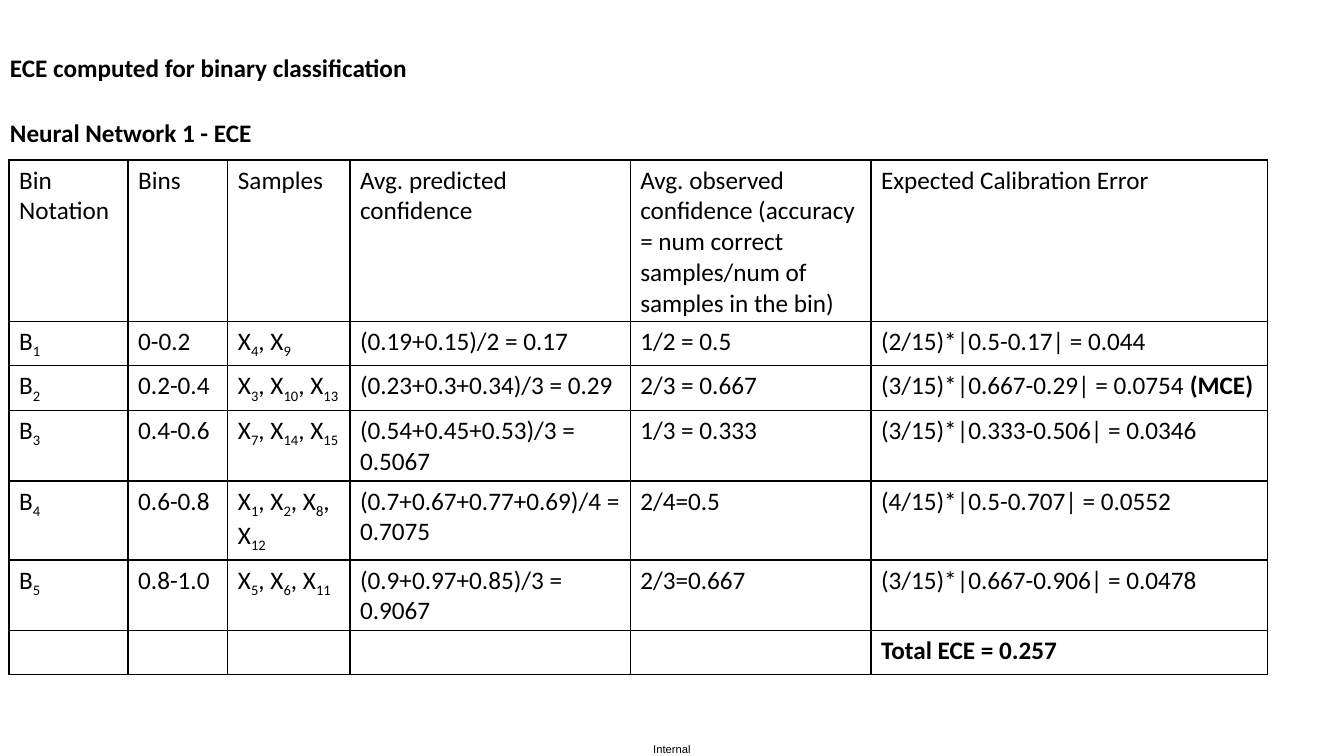
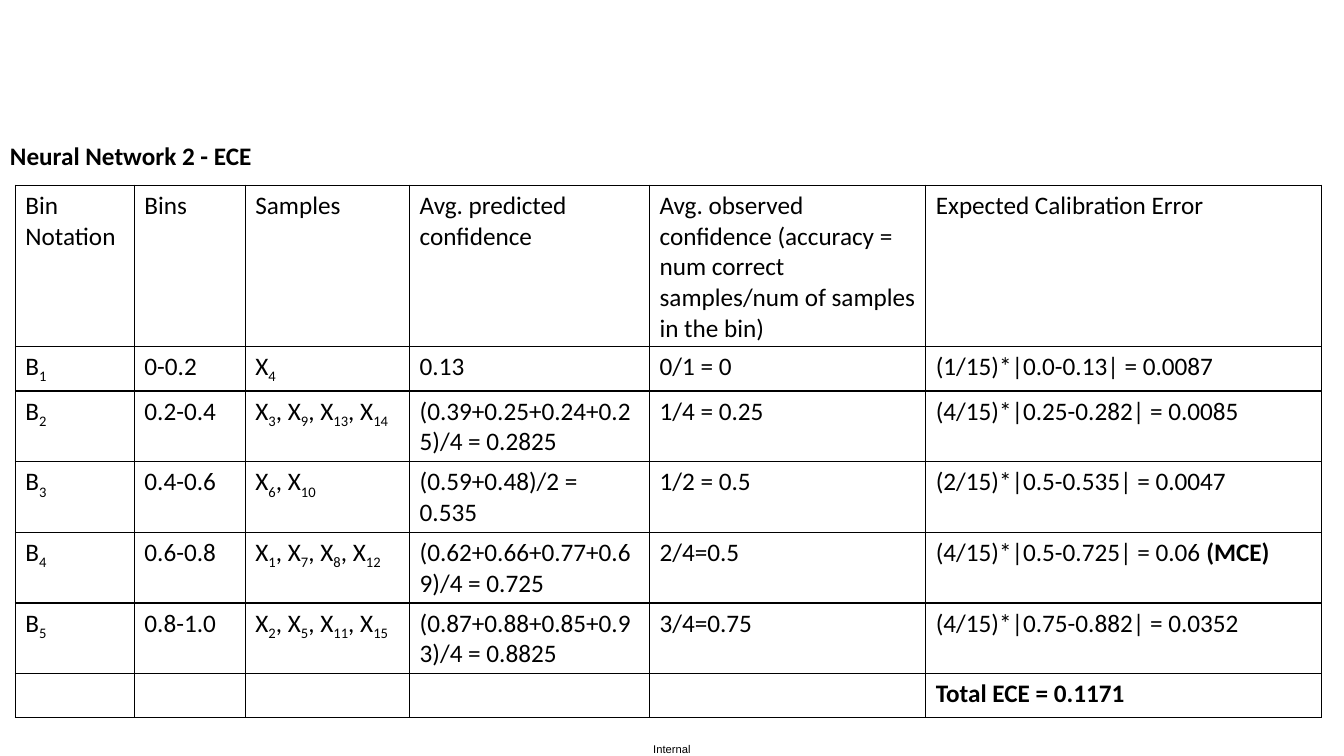
from dataclasses import dataclass

from lxml import etree
from pptx import Presentation
from pptx.dml.color import RGBColor
from pptx.enum.text import MSO_AUTO_SIZE
from pptx.oxml.ns import qn
from pptx.util import Pt

GROW = MSO_AUTO_SIZE.SHAPE_TO_FIT_TEXT
BLANK_LAYOUT = 6
BORDER_TAGS = ("a:lnL", "a:lnR", "a:lnT", "a:lnB")

HEADER = (
    "Bin Notation",
    "Bins",
    "Samples",
    "Avg. predicted confidence",
    "Avg. observed confidence (accuracy = num correct samples/num of samples in the bin)",
    "Expected Calibration Error",
)
BINS = ("0-0.2", "0.2-0.4", "0.4-0.6", "0.6-0.8", "0.8-1.0")
HEADER_HEIGHT, ONE_LINE, TWO_LINES, TWO_SUBSCRIPT_LINES = 115, 31.5, 50.5, 56.5


@dataclass(frozen=True)
class Theme:
    ink: str = "000000"
    body_font: str = "Calibri"
    footer_font: str = "Arial"
    body_size: float = 18
    footer_size: float = 8
    border_width: float = 1
    subscript: str = "-25000"


THEME = Theme()


def write(paragraph, text, font=THEME.body_font, size=THEME.body_size,
          color=THEME.ink, bold=False, subscript=False):
    run = paragraph.add_run()
    run.text = text
    run.font.name = font
    run.font.size = Pt(size)
    run.font.bold = bold
    run.font.color.rgb = RGBColor.from_string(color)
    if subscript:
        run.font._element.set("baseline", THEME.subscript)


def write_indexed(paragraph, letter, indices):
    for position, index in enumerate(indices):
        write(paragraph, f", {letter}" if position else letter)
        write(paragraph, str(index), subscript=True)


class Deck:
    def __init__(self, theme):
        self.theme = theme
        self.presentation = Presentation()
        self.presentation.slide_width = Pt(960)
        self.presentation.slide_height = Pt(540)
        self.slide = None

    def new_slide(self):
        layout = self.presentation.slide_layouts[BLANK_LAYOUT]
        self.slide = self.presentation.slides.add_slide(layout)
        self.footer("Internal")

    def text_box(self, left, top, width, height):
        box = self.slide.shapes.add_textbox(Pt(left), Pt(top), Pt(width), Pt(height))
        frame = box.text_frame
        frame.word_wrap = True
        frame.auto_size = GROW
        return frame

    def footer(self, text):
        frame = self.text_box(466.6, 530.6, 28.8, 9.4)
        frame.margin_left = frame.margin_right = 0
        frame.margin_top = frame.margin_bottom = 0
        write(frame.paragraphs[0], text, font=self.theme.footer_font,
              size=self.theme.footer_size)

    def heading(self, text, top, width):
        frame = self.text_box(0, top, width, 29)
        write(frame.paragraphs[0], text, bold=True)

    def style_cell(self, cell):
        properties = cell._tc.get_or_add_tcPr()
        for tag in BORDER_TAGS:
            border = etree.SubElement(properties, qn(tag),
                                      w=str(Pt(self.theme.border_width)))
            fill = etree.SubElement(border, qn("a:solidFill"))
            etree.SubElement(fill, qn("a:srgbClr"), val=self.theme.ink)
        cell.fill.background()

    def calibration_table(self, left, top, widths, heights, results, total):
        table = self.slide.shapes.add_table(
            len(heights), len(widths), Pt(left), Pt(top),
            Pt(sum(widths)), Pt(sum(heights))).table
        table.first_row = table.horz_banding = False
        for column, width in zip(table.columns, widths):
            column.width = Pt(width)
        for row, height in zip(table.rows, heights):
            row.height = Pt(height)
        for cell in table.iter_cells():
            self.style_cell(cell)

        def paragraph(row, column):
            return table.cell(row, column).text_frame.paragraphs[0]

        for column, label in enumerate(HEADER):
            write(paragraph(0, column), label)
        largest_error = max(results, key=lambda result: float(result[3].split(" = ")[1]))
        for number, result in enumerate(results, start=1):
            samples, predicted, observed, error = result
            write_indexed(paragraph(number, 0), "B", [number])
            write(paragraph(number, 1), BINS[number - 1])
            write_indexed(paragraph(number, 2), "X", samples)
            write(paragraph(number, 3), predicted)
            write(paragraph(number, 4), observed)
            if result is largest_error:
                write(paragraph(number, 5), error + " ")
                write(paragraph(number, 5), "(MCE)", bold=True)
            else:
                write(paragraph(number, 5), error)
        write(paragraph(len(heights) - 1, len(widths) - 1),
              f"Total ECE = {total}", bold=True)


NETWORK_1 = (
    ((4, 9), "(0.19+0.15)/2 = 0.17", "1/2 = 0.5", "(2/15)*|0.5-0.17| = 0.044"),
    ((3, 10, 13), "(0.23+0.3+0.34)/3 = 0.29", "2/3 = 0.667",
     "(3/15)*|0.667-0.29| = 0.0754"),
    ((7, 14, 15), "(0.54+0.45+0.53)/3 = 0.5067", "1/3 = 0.333",
     "(3/15)*|0.333-0.506| = 0.0346"),
    ((1, 2, 8, 12), "(0.7+0.67+0.77+0.69)/4 = 0.7075", "2/4=0.5",
     "(4/15)*|0.5-0.707| = 0.0552"),
    ((5, 6, 11), "(0.9+0.97+0.85)/3 = 0.9067", "2/3=0.667",
     "(3/15)*|0.667-0.906| = 0.0478"),
)
NETWORK_2 = (
    ((4,), "0.13", "0/1 = 0", "(1/15)*|0.0-0.13| = 0.0087"),
    ((3, 9, 13, 14), "(0.39+0.25+0.24+0.25)/4 = 0.2825", "1/4 = 0.25",
     "(4/15)*|0.25-0.282| = 0.0085"),
    ((6, 10), "(0.59+0.48)/2 = 0.535", "1/2 = 0.5", "(2/15)*|0.5-0.535| = 0.0047"),
    ((1, 7, 8, 12), "(0.62+0.66+0.77+0.69)/4 = 0.725", "2/4=0.5",
     "(4/15)*|0.5-0.725| = 0.06"),
    ((2, 5, 11, 15), "(0.87+0.88+0.85+0.93)/4 = 0.8825", "3/4=0.75",
     "(4/15)*|0.75-0.882| = 0.0352"),
)


def main():
    deck = Deck(THEME)

    deck.new_slide()
    deck.heading("ECE computed for binary classification", 34, 353)
    deck.heading("Neural Network 1 - ECE", 80, 245)
    deck.calibration_table(
        6.5, 114.3, (85, 71.3, 87.2, 200.2, 172, 283),
        (HEADER_HEIGHT, ONE_LINE, ONE_LINE, TWO_LINES, TWO_SUBSCRIPT_LINES,
         TWO_LINES, ONE_LINE),
        NETWORK_1, "0.257")

    deck.new_slide()
    deck.heading("Neural Network 2 - ECE", 97, 245)
    deck.calibration_table(
        11, 132.3, (85, 79.2, 117.4, 171.4, 197.3, 283),
        (HEADER_HEIGHT, ONE_LINE, *[TWO_LINES] * 4, ONE_LINE),
        NETWORK_2, "0.1171")

    deck.presentation.save("out.pptx")


if __name__ == "__main__":
    main()
